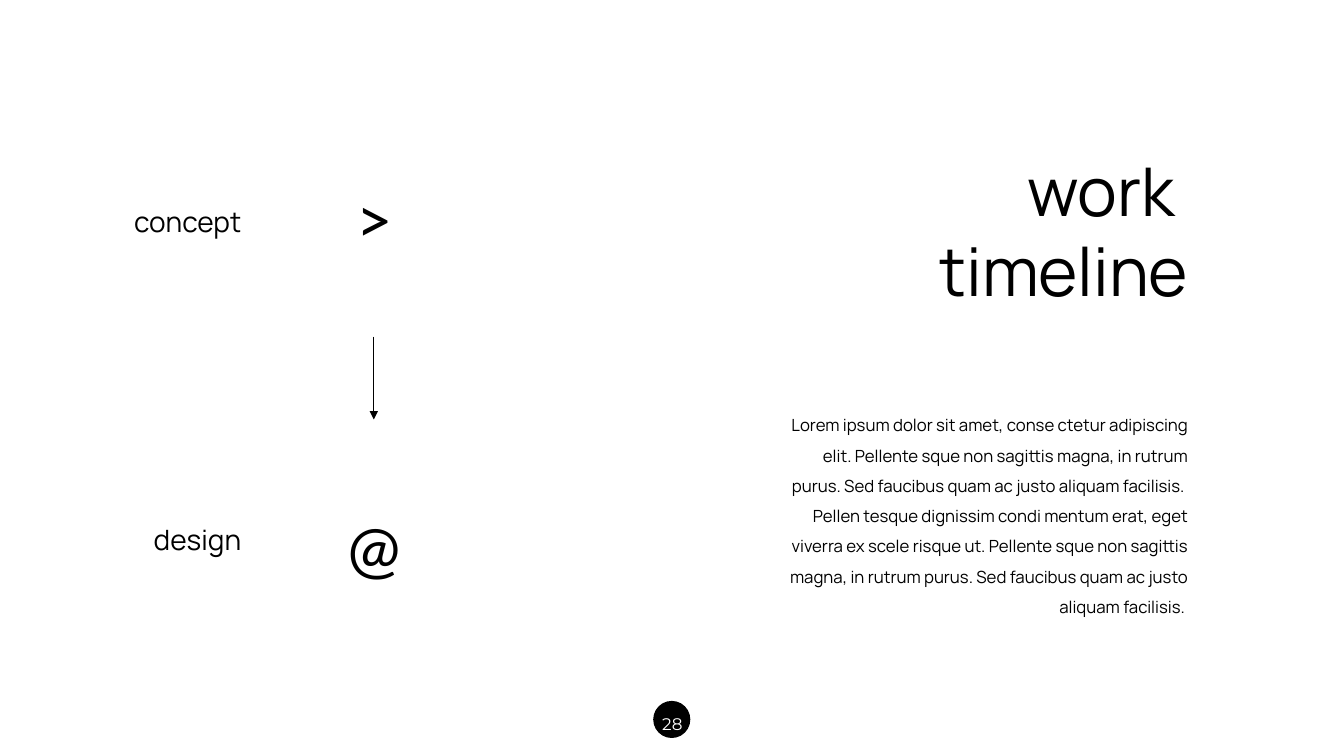
from dataclasses import dataclass

from lxml import etree
from pptx import Presentation
from pptx.dml.color import RGBColor
from pptx.enum.shapes import MSO_CONNECTOR, MSO_SHAPE
from pptx.enum.text import MSO_AUTO_SIZE, PP_ALIGN
from pptx.oxml.ns import qn
from pptx.slide import Slide
from pptx.util import Cm, Pt

BLACK = RGBColor(0x00, 0x00, 0x00)
WHITE = RGBColor(0xFF, 0xFF, 0xFF)
CENTER, RIGHT = PP_ALIGN.CENTER, PP_ALIGN.RIGHT
FIT_SHAPE = MSO_AUTO_SIZE.SHAPE_TO_FIT_TEXT
OVAL = MSO_SHAPE.OVAL
STRAIGHT = MSO_CONNECTOR.STRAIGHT

LABEL_RIGHT = 6.33
BODY = (
    "Lorem ipsum dolor sit amet, conse ctetur adipiscing elit. "
    "Pellente sque non sagittis magna, in rutrum purus. "
    "Sed faucibus quam ac justo aliquam facilisis.  "
    "Pellen tesque dignissim condi mentum erat, eget viverra ex scele risque ut. "
    "Pellente sque non sagittis magna, in rutrum purus. "
    "Sed faucibus quam ac justo aliquam facilisis. "
)


@dataclass
class TextBox:
    """Text with its place in centimetres and its format."""
    lines: list[str]
    left: float
    top: float
    width: float
    height: float
    size: float
    font: str = "Manrope"
    align: PP_ALIGN = RIGHT
    spacing: float = 1.0
    color: RGBColor = BLACK


@dataclass
class Stage:
    label: str
    label_top: float
    label_width: float
    symbol: str
    symbol_top: float


STAGES = [
    Stage("concept", 5.03, 3.43, ">", 4.32),
    Stage("design", 13.03, 3.02, "@", 12.6),
]
TITLE = TextBox(["work ", "timeline"], 21.84, 3.63, 8.36, 4.37, 48)
DESCRIPTION = TextBox([BODY], 19.48, 10.08, 10.72, 5.64, 12, spacing=1.5)
PAGE_NUMBER = TextBox(["28"], 16.31, 17.6, 1.27, 0.94, 12, "Montserrat",
                      CENTER, 1.5, WHITE)


def add_text(s: Slide, box: TextBox) -> None:
    sp = s.shapes.add_textbox(Cm(box.left), Cm(box.top), Cm(box.width), Cm(box.height))
    tf = sp.text_frame
    tf.word_wrap = True
    tf.auto_size = FIT_SHAPE
    for i, line in enumerate(box.lines):
        p = tf.add_paragraph() if i else tf.paragraphs[0]
        p.alignment = box.align
        p.line_spacing = box.spacing
        r = p.add_run()
        r.text = line
        r.font.name = box.font
        r.font.size = Pt(box.size)
        r.font.color.rgb = box.color


def add_stage(s: Slide, stage: Stage) -> None:
    add_text(s, TextBox([stage.label], LABEL_RIGHT - stage.label_width,
                        stage.label_top, stage.label_width, 1.12, 20))
    add_text(s, TextBox([stage.symbol], 8.41, stage.symbol_top, 2.06, 2.31,
                        48, "Calibri", CENTER))


def add_down_arrow(s: Slide, x: float, top: float, bottom: float) -> None:
    arrow = s.shapes.add_connector(STRAIGHT, Cm(x), Cm(top), Cm(x), Cm(bottom))
    arrow.line.color.rgb = BLACK
    arrow.line.width = Pt(1)
    etree.SubElement(arrow.line._get_or_add_ln(), qn("a:tailEnd"), type="triangle")
    etree.SubElement(arrow._element.spPr, qn("a:effectLst"))


def add_page_badge(s: Slide) -> None:
    sp = s.shapes.add_shape(OVAL, Cm(16.48), Cm(17.68), Cm(0.9), Cm(0.9))
    sp.shadow.inherit = False
    sp.fill.solid()
    sp.fill.fore_color.rgb = BLACK
    sp.line.color.rgb = BLACK
    sp.line.width = Pt(1)
    add_text(s, PAGE_NUMBER)


def main() -> None:
    prs = Presentation()
    prs.slide_width, prs.slide_height = Cm(33.87), Cm(19.05)
    s = prs.slides.add_slide(prs.slide_layouts[6])
    add_page_badge(s)
    for stage in STAGES:
        add_stage(s, stage)
    add_down_arrow(s, 9.42, 8.48, 10.57)
    add_text(s, TITLE)
    add_text(s, DESCRIPTION)
    prs.save("out.pptx")


if __name__ == "__main__":
    main()
